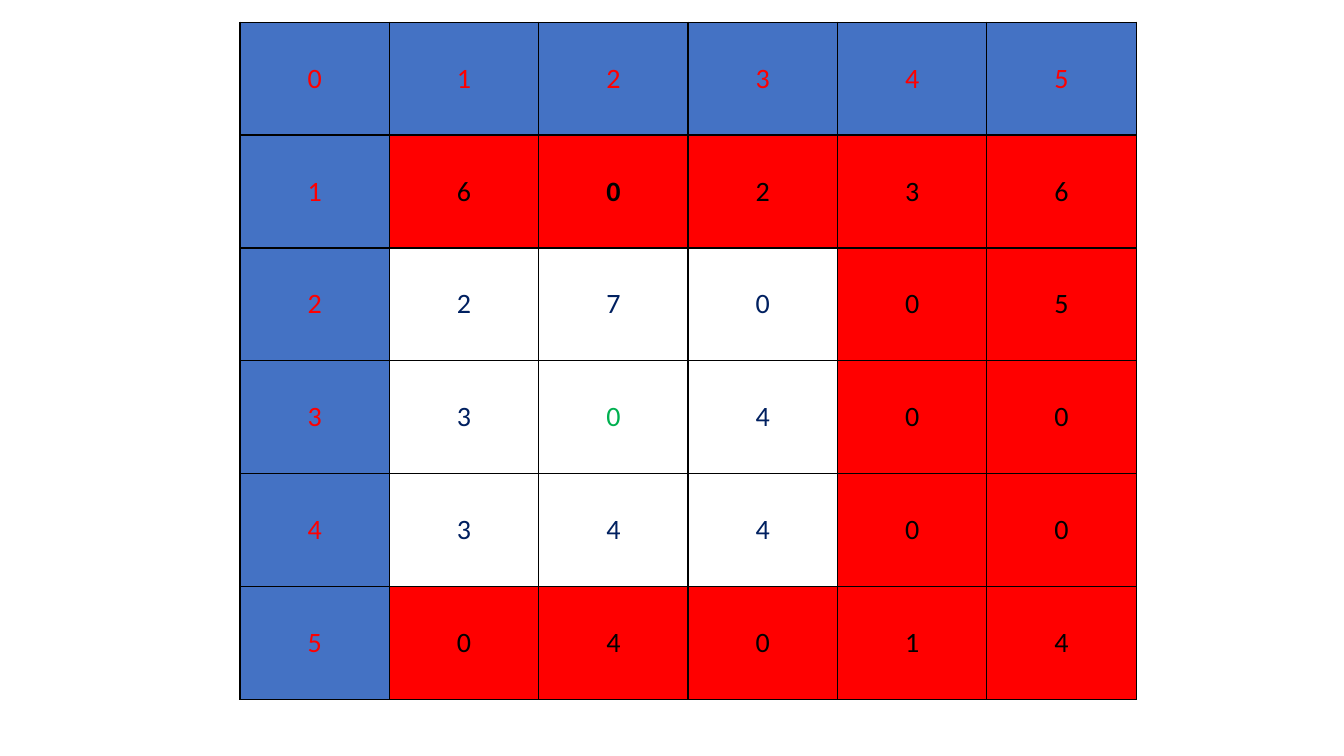
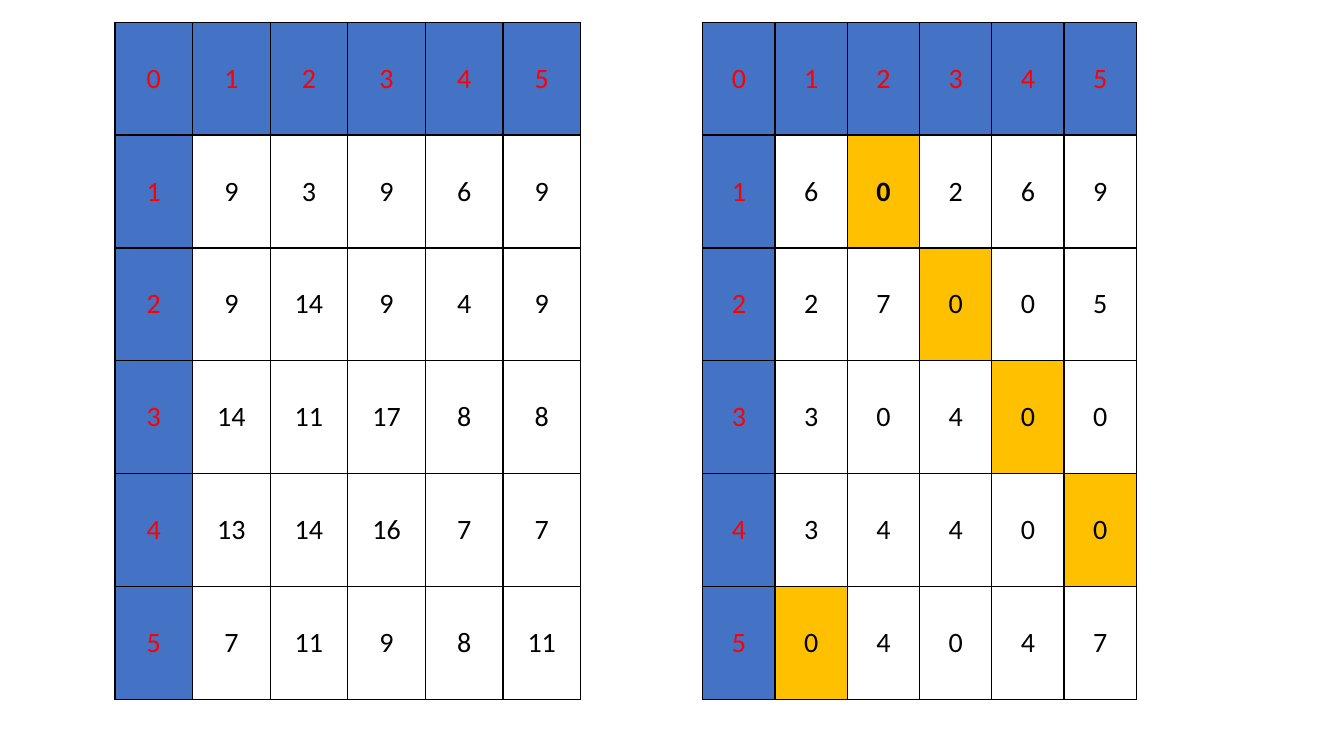
import lxml.etree
import pptx
import pptx.dml.color
import pptx.enum.text
import pptx.oxml.ns
import pptx.util

Inches = pptx.util.Inches

HEADER_BLUE = "4472C4"
RED = "FF0000"
BLACK = "000000"
NAVY = "002060"
GREEN = "00B050"
AMBER = "FFC000"

FONT = "Calibri"
TEXT_SIZE = 20
BORDER_WIDTH = 1
TABLE_TOP = 0.22
ROW_HEIGHT = 1.12

COSTS = [
    [9, 3, 9, 6, 9],
    [9, 14, 9, 4, 9],
    [14, 11, 17, 8, 8],
    [13, 14, 16, 7, 7],
    [7, 11, 9, 8, 11],
]
REDUCED = [
    [6, 0, 2, 6, 9],
    [2, 7, 0, 0, 5],
    [3, 0, 4, 0, 0],
    [3, 4, 4, 0, 0],
    [0, 4, 0, 4, 7],
]
ADJUSTED = [
    [6, 0, 2, 3, 6],
    [2, 7, 0, 0, 5],
    [3, 0, 4, 0, 0],
    [3, 4, 4, 0, 0],
    [0, 4, 0, 1, 4],
]
COVERED_ROWS = {1, 5}
COVERED_COLUMNS = {4, 5}
UNCOVERED_MINIMUM = (3, 2)
ASSIGNMENT = {(1, 2), (2, 3), (3, 4), (4, 5), (5, 1)}
BOLD_ZERO = {(1, 2)}


def rgb(value):
    return pptx.dml.color.RGBColor.from_string(value)


def plain_style(row, column):
    """Return the fill (None for no fill) and text colour of a value cell."""
    return None, BLACK


def assignment_style(row, column):
    return (AMBER if (row, column) in ASSIGNMENT else None), BLACK


def covered_style(row, column):
    """Colour the covered lines red and pick out the smallest uncovered value."""
    if row in COVERED_ROWS or column in COVERED_COLUMNS:
        return RED, BLACK
    return None, GREEN if (row, column) == UNCOVERED_MINIMUM else NAVY


def add_borders(cell):
    properties = cell._tc.get_or_add_tcPr()
    for side in ("lnL", "lnR", "lnT", "lnB"):
        line = lxml.etree.SubElement(
            properties, pptx.oxml.ns.qn(f"a:{side}"),
            w=str(pptx.util.Pt(BORDER_WIDTH)))
        fill = lxml.etree.SubElement(line, pptx.oxml.ns.qn("a:solidFill"))
        lxml.etree.SubElement(fill, pptx.oxml.ns.qn("a:srgbClr"), val=BLACK)


def format_cell(cell, value, fill, colour, bold):
    add_borders(cell)
    if fill:
        cell.fill.solid()
        cell.fill.fore_color.rgb = rgb(fill)
    else:
        cell.fill.background()
    cell.vertical_anchor = pptx.enum.text.MSO_ANCHOR.MIDDLE
    cell.text = str(value)
    paragraph = cell.text_frame.paragraphs[0]
    paragraph.alignment = pptx.enum.text.PP_ALIGN.CENTER
    paragraph.font.name = FONT
    paragraph.font.size = pptx.util.Pt(TEXT_SIZE)
    paragraph.font.bold = bold
    paragraph.font.color.rgb = rgb(colour)


def add_matrix(slide, left, width, values, style, bold_cells=()):
    """Add a square matrix with numbered header row and column."""
    count = len(values) + 1
    matrix = slide.shapes.add_table(
        count, count, Inches(left), Inches(TABLE_TOP),
        Inches(width), Inches(ROW_HEIGHT * count)).table
    matrix.first_row = False
    matrix.horz_banding = False
    for row in range(count):
        for column in range(count):
            if row == 0 or column == 0:
                value, fill, colour = row + column, HEADER_BLUE, RED
            else:
                value = values[row - 1][column - 1]
                fill, colour = style(row, column)
            format_cell(matrix.cell(row, column), value, fill, colour,
                        (row, column) in bold_cells)


def add_blank_slide(presentation):
    return presentation.slides.add_slide(presentation.slide_layouts[6])


def main():
    presentation = pptx.Presentation()
    presentation.slide_width = Inches(13.33)
    presentation.slide_height = Inches(7.5)

    covered_slide = add_blank_slide(presentation)
    add_matrix(covered_slide, 2.38, 8.89, ADJUSTED, covered_style, BOLD_ZERO)

    assignment_slide = add_blank_slide(presentation)
    add_matrix(assignment_slide, 6.97, 4.3, REDUCED, assignment_style, BOLD_ZERO)
    add_matrix(assignment_slide, 1.14, 4.62, COSTS, plain_style)

    presentation.save("out.pptx")


if __name__ == "__main__":
    main()
